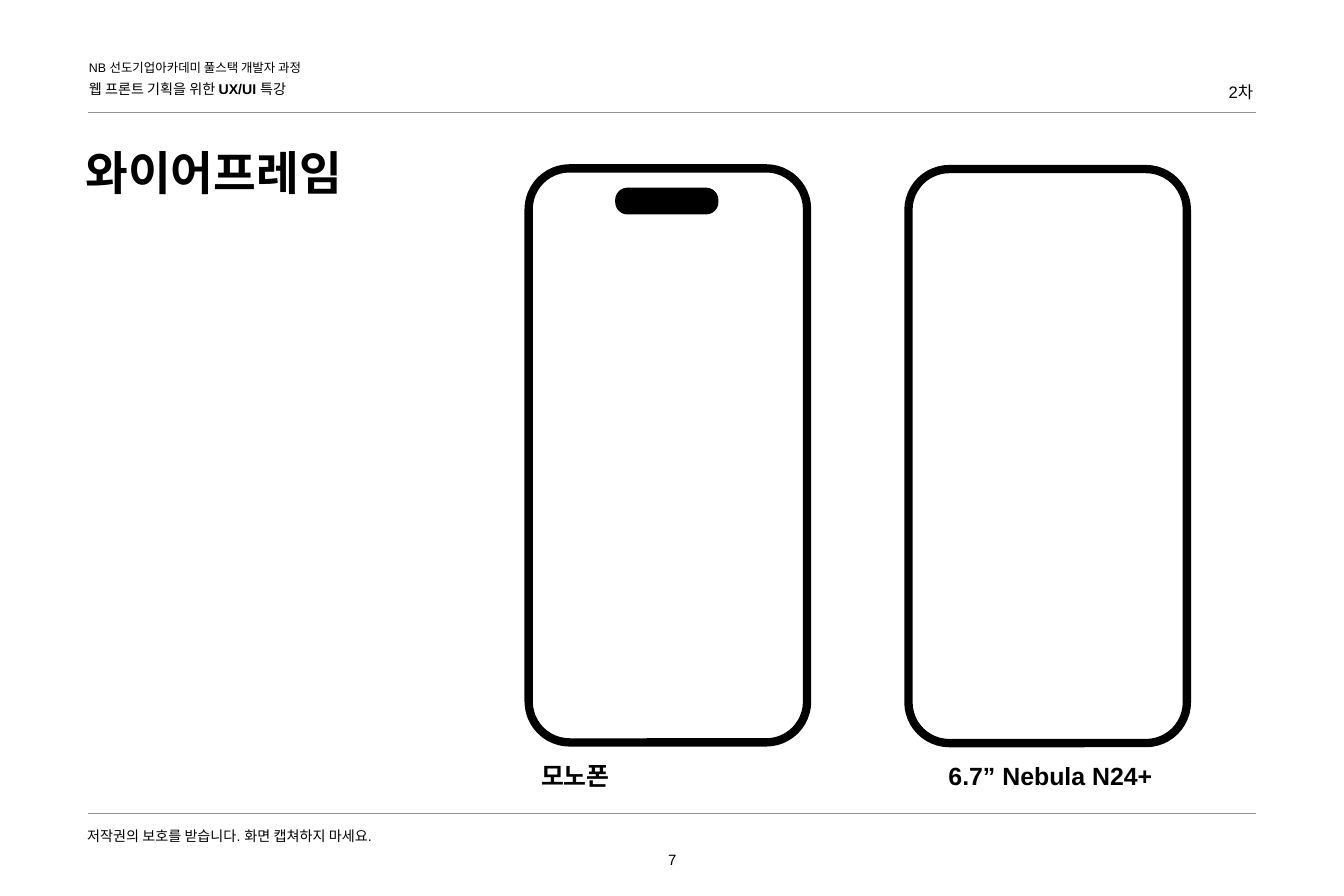
from lxml.etree import SubElement
from pptx import Presentation
from pptx.dml.color import RGBColor
from pptx.enum.shapes import MSO_CONNECTOR as Connector, MSO_SHAPE as Shape
from pptx.enum.text import MSO_ANCHOR as Anchor, PP_ALIGN as Align
from pptx.oxml.ns import qn
from pptx.util import Cm, Pt

COLORS = {"ink": "000000", "rule": "929292"}
LATIN, KOREAN = "Arial", "Noto Sans CJK KR"

deck = Presentation()
deck.slide_width, deck.slide_height = Cm(57.15), Cm(38.1)
page = deck.slides.add_slide(deck.slide_layouts[6])
ink = RGBColor.from_string(COLORS["ink"])


def add_text(text, left, top, width, height, size=17, font=LATIN, bold=False,
             align=Align.LEFT, anchor=Anchor.TOP, wrap=True):
    box = page.shapes.add_textbox(Cm(left), Cm(top), Cm(width), Cm(height))
    frame = box.text_frame
    frame.word_wrap = wrap
    frame.vertical_anchor = anchor
    frame.margin_left = frame.margin_right = Cm(0.2)
    frame.margin_top = frame.margin_bottom = Cm(0.2)
    para = frame.paragraphs[0]
    para.alignment = align
    parts = [(text, font, bold)] if isinstance(text, str) else text
    for words, face, heavy in parts:
        span = para.add_run()
        span.text = words
        span.font.size = Pt(size)
        span.font.name = face
        span.font.bold = heavy
        span.font.color.rgb = ink
        SubElement(span.font._element, qn("a:ea")).set("typeface", KOREAN)


add_text("NB 선도기업아카데미 풀스택 개발자 과정", 3.58, 2.34, 14.1, 1.14, size=15)
add_text([("웹 프론트 기획을 위한", KOREAN, False), (" UX/UI ", LATIN, True),
          ("특강", KOREAN, False)], 3.58, 3.23, 13.16, 1.63)
add_text("2차", 50.11, 3.3, 3.38, 1.63, size=20, align=Align.RIGHT)
add_text("와이어프레임", 3.43, 5.92, 22.5, 2.77, size=56, font=KOREAN, bold=True)

for top in (4.8, 34.57):
    rule = page.shapes.add_connector(Connector.STRAIGHT, Cm(3.76), Cm(top), Cm(53.39), Cm(top))
    rule.line.color.rgb = RGBColor.from_string(COLORS["rule"])
    rule.line.width = Pt(1)
    SubElement(rule._element.spPr, qn("a:effectLst"))

for left, top in ((22.48, 7.16), (38.63, 7.19)):
    phone = page.shapes.add_shape(Shape.ROUNDED_RECTANGLE, Cm(left), Cm(top), Cm(11.84), Cm(24.41))
    phone.adjustments[0] = 0.147
    phone.shadow.inherit = False
    phone.fill.background()
    phone.line.color.rgb = ink
    phone.line.width = Pt(10)

camera = page.shapes.add_shape(Shape.ROUNDED_RECTANGLE, Cm(26.16), Cm(7.98), Cm(4.39), Cm(1.14))
camera.adjustments[0] = 0.458
camera.shadow.inherit = False
camera.fill.solid()
camera.fill.fore_color.rgb = ink
camera.line.fill.background()

for label, left in (("모노폰", 22.81), ("6.7” Nebula N24+", 40.13)):
    add_text(label, left, 32.16, 12.19, 1.68, size=30, bold=True)

add_text("저작권의 보호를 받습니다. 화면 캡쳐하지 마세요.", 3.51, 35, 17.58, 1.14)
add_text("7", 28.19, 35.99, 0.79, 1.14, size=18, align=Align.CENTER,
         anchor=Anchor.BOTTOM, wrap=False)

deck.save("out.pptx")
